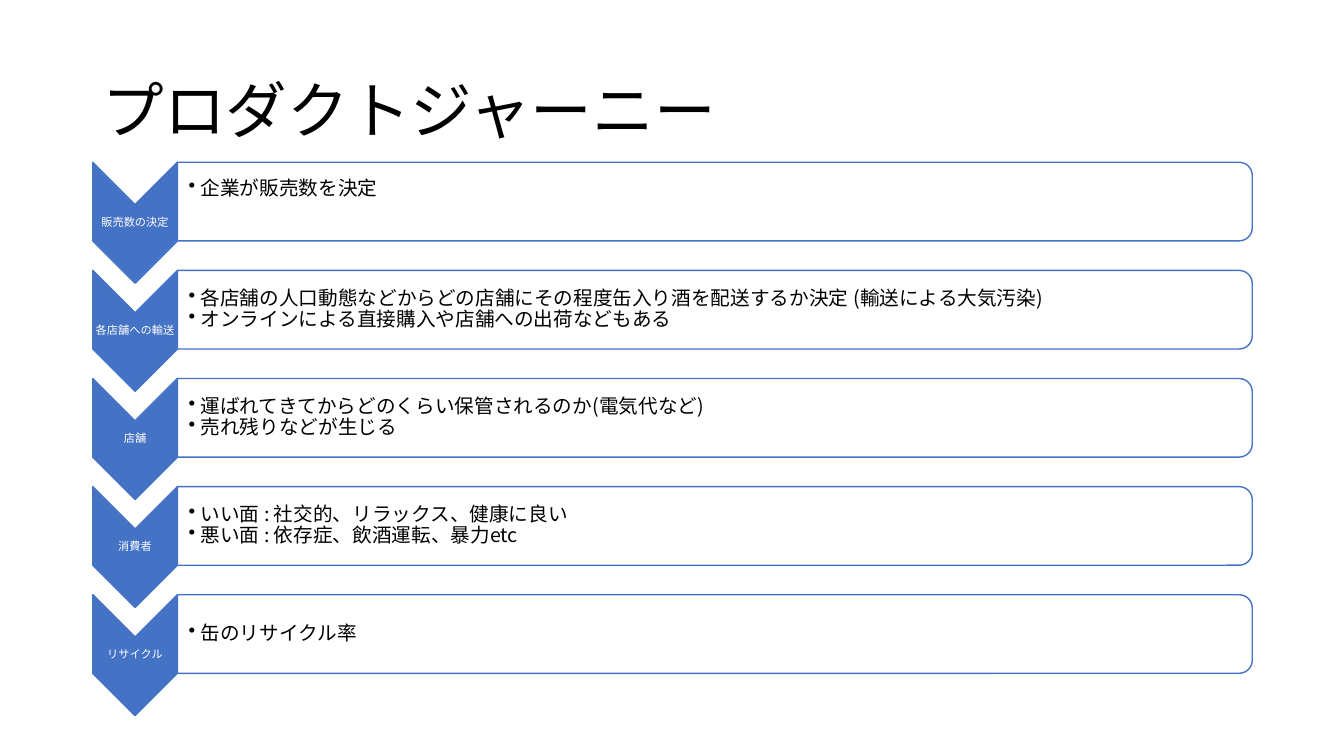
from pptx import Presentation
from pptx.dml.color import RGBColor
from pptx.enum.shapes import MSO_SHAPE
from pptx.enum.text import MSO_ANCHOR, PP_ALIGN
from pptx.oxml.ns import qn
from pptx.util import Inches, Pt
from lxml import etree

CHEVRON = MSO_SHAPE.CHEVRON
BAR = MSO_SHAPE.ROUND_2_SAME_RECTANGLE
MIDDLE = MSO_ANCHOR.MIDDLE
LEFT, CENTER = PP_ALIGN.LEFT, PP_ALIGN.CENTER

TITLE = "プロダクトジャーニー"
STEPS = [
    ("販売数の決定", ["企業が販売数を決定"]),
    ("各店舗への輸送", [
        "各店舗の人口動態などからどの店舗にその程度缶入り酒を配送するか決定 (輸送による大気汚染)",
        "オンラインによる直接購入や店舗への出荷などもある"]),
    ("店舗", ["運ばれてきてからどのくらい保管されるのか(電気代など)",
            "売れ残りなどが生じる"]),
    ("消費者", ["いい面 : 社交的、リラックス、健康に良い",
             "悪い面 : 依存症、飲酒運転、暴力etc"]),
    ("リサイクル", ["缶のリサイクル率"]),
]

THEME = {
    "font": "Noto Sans CJK JP",
    "blue": RGBColor(0x44, 0x72, 0xC4),
    "white": RGBColor(255, 255, 255),
    "black": RGBColor(0, 0, 0),
    "title": 44, "label": 8, "body": 14,
}

EDGE, TOP, LAST = 0.92, 1.61, 5.9
PITCH = (LAST - TOP) / (len(STEPS) - 1)
ARROW_W, ARROW_H = 0.84, 1.2
BAR_W, BAR_H = 10.66, 0.78
LABEL_H, BODY_W, BODY_H = 0.36, 10.62, 0.7
INDENT, PAD = 0.12, 0.01
LIFT = 0.25  # room below the first step's single line

deck = Presentation()
deck.slide_width, deck.slide_height = Inches(13.33), Inches(7.5)
slide = deck.slides.add_slide(deck.slide_layouts[6])


def add_turned(kind, left, top, wide, high, fill):
    """Add a shape turned by 90 degrees that covers the given box."""
    shape = slide.shapes.add_shape(
        kind, Inches(left + (wide - high) / 2), Inches(top + (high - wide) / 2),
        Inches(high), Inches(wide))
    shape.rotation = 90
    shape.shadow.inherit = False
    shape.fill.solid()
    shape.fill.fore_color.rgb = fill
    shape.line.color.rgb = THEME["blue"]
    shape.line.width = Pt(1)


def add_bullet(para):
    props = para._p.get_or_add_pPr()
    props.set("marL", str(Inches(INDENT)))
    props.set("indent", str(-Inches(INDENT)))
    etree.SubElement(props, qn("a:buChar"), char="•")


def add_text(box, lines, size, color, pads, align=LEFT, bullet=False):
    frame = slide.shapes.add_textbox(*map(Inches, box)).text_frame
    frame.word_wrap = True
    frame.vertical_anchor = MIDDLE
    (frame.margin_left, frame.margin_top,
     frame.margin_right, frame.margin_bottom) = map(Inches, pads)
    for i, line in enumerate(lines):
        para = frame.paragraphs[0] if i == 0 else frame.add_paragraph()
        para.alignment = align
        para.line_spacing = 0.9
        if bullet:
            add_bullet(para)
        run = para.add_run()
        run.text = line
        run.font.size = Pt(THEME[size])
        run.font.name = THEME["font"]
        run.font.color.rgb = THEME[color]
        etree.SubElement(run._r.get_or_add_rPr(), qn("a:ea"),
                         typeface=THEME["font"])


add_text((EDGE, 0.4, 11.5, 1.45), [TITLE], "title", "black",
         (0.1, 0.05, 0.1, 0.05))

body_x = EDGE + ARROW_W
for i, (label, lines) in enumerate(STEPS):
    top = TOP + i * PITCH
    add_turned(CHEVRON, EDGE, top, ARROW_W, ARROW_H, THEME["blue"])
    add_text((EDGE, top + (ARROW_H - LABEL_H) / 2, ARROW_W, LABEL_H),
             [label], "label", "white", (PAD,) * 4, CENTER)
    add_turned(BAR, body_x, top, BAR_W, BAR_H, THEME["white"])
    low = LIFT if i == 0 else PAD
    add_text((body_x, top + (BAR_H - BODY_H) / 2, BODY_W, BODY_H),
             lines, "body", "black", (0.11, PAD, PAD, low), bullet=True)

deck.save("out.pptx")
